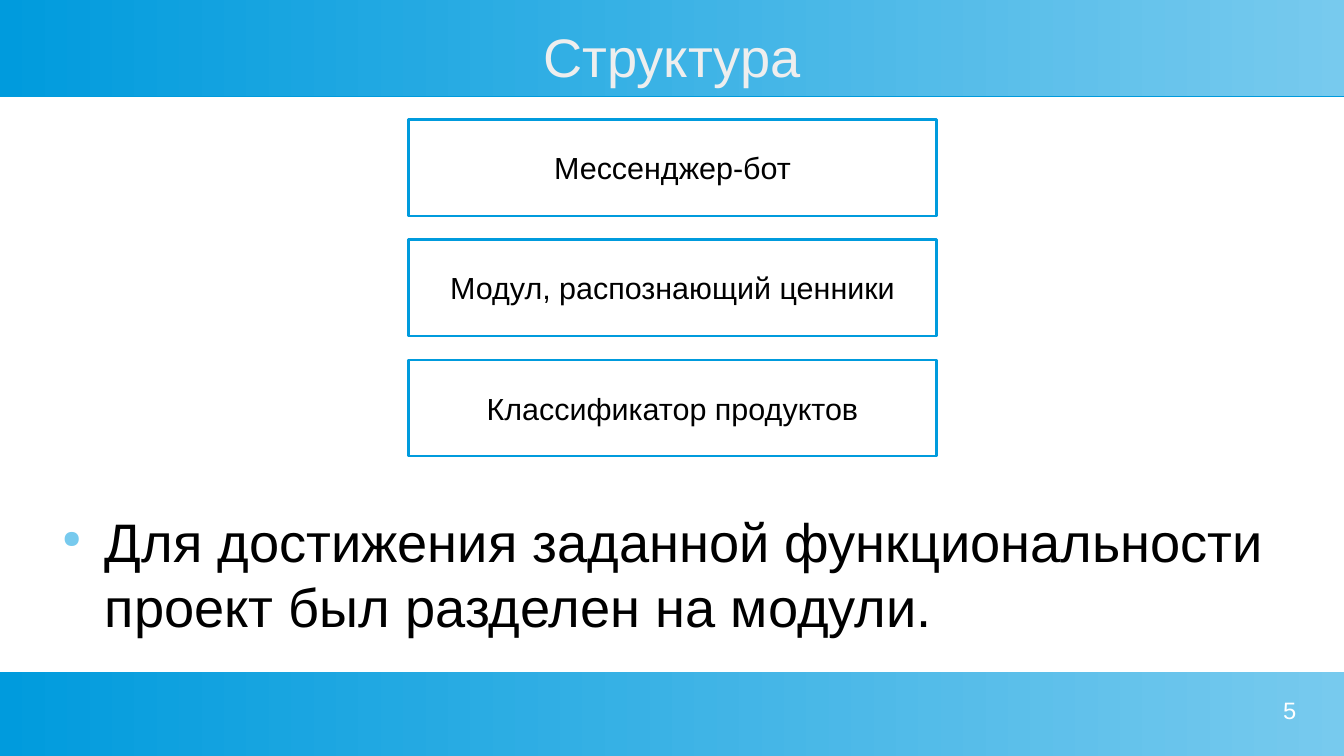
from lxml.etree import SubElement
from pptx import Presentation
from pptx.dml.color import RGBColor
from pptx.enum.shapes import MSO_CONNECTOR, MSO_SHAPE
from pptx.enum.text import MSO_ANCHOR, PP_ALIGN
from pptx.oxml.ns import qn
from pptx.util import Inches, Pt

DARK_BLUE = "009BDD"
LIGHT_BLUE = "77CAEE"


def color(value):
    return RGBColor.from_string(value)


def write(shape, text, size, text_color, align, anchor=MSO_ANCHOR.TOP, margin=0):
    frame = shape.text_frame
    frame.word_wrap = True
    frame.vertical_anchor = anchor
    frame.margin_left = frame.margin_right = Inches(margin)
    frame.margin_top = frame.margin_bottom = Inches(margin / 2)
    para = frame.paragraphs[0]
    para.text = text
    para.alignment = align
    para.font.name = "Arial"
    para.font.size = Pt(size)
    para.font.color.rgb = color(text_color)
    return para


deck = Presentation()
deck.slide_width = Inches(11.02)
deck.slide_height = Inches(6.2)
page = deck.slides.add_slide(deck.slide_layouts[6])
shapes = page.shapes

# Header and footer bands
for top, height in [(0, 0.79), (5.51, 0.69)]:
    band = shapes.add_shape(MSO_SHAPE.RECTANGLE, 0, Inches(top),
                            deck.slide_width, Inches(height))
    band.shadow.inherit = False
    band.line.fill.background()
    band.fill.gradient()
    band.fill.gradient_angle = 0
    for stop, shade in zip(band.fill.gradient_stops, [DARK_BLUE, LIGHT_BLUE]):
        stop.color.rgb = color(shade)

# Thin edge under the header
edge = shapes.add_connector(MSO_CONNECTOR.STRAIGHT, 0, Inches(0.79),
                            deck.slide_width, Inches(0.79))
edge.line.color.rgb = color(DARK_BLUE)
edge.line.width = Pt(0.9)
SubElement(edge._element.spPr, qn("a:effectLst"))

# Title
title = shapes.add_textbox(Inches(0.39), Inches(0.2), Inches(10.24), Inches(0.52))
write(title, "Структура", 32, "EEEEEE", PP_ALIGN.CENTER, MSO_ANCHOR.MIDDLE)

# Module boxes
modules = ["Мессенджер-бот", "Модул, распознающий ценники", "Классификатор продуктов"]
for row, name in enumerate(modules):
    box = shapes.add_shape(MSO_SHAPE.RECTANGLE, Inches(3.35), Inches(0.98 + row * 0.985),
                           Inches(4.33), Inches(0.79))
    box.shadow.inherit = False
    box.fill.background()
    box.line.color.rgb = color(DARK_BLUE)
    box.line.width = Pt(1.42)
    write(box, name, 18, "000000", PP_ALIGN.CENTER, MSO_ANCHOR.MIDDLE, 0.1)

# Bulleted summary
summary = shapes.add_textbox(Inches(0.39), Inches(4.17), Inches(10.24), Inches(0.98))
para = summary.text_frame.paragraphs[0]
props = para._p.get_or_add_pPr()
props.set("marL", str(Inches(0.47)))
props.set("indent", str(Inches(-0.35)))
bullet_color = SubElement(props, qn("a:buClr"))
SubElement(bullet_color, qn("a:srgbClr"), val=LIGHT_BLUE)
SubElement(props, qn("a:buSzPct"), val="45000")
SubElement(props, qn("a:buChar"), char="●")
write(summary, "Для достижения заданной функциональности проект был разделен на модули.",
      32, "000000", PP_ALIGN.LEFT)

# Page number
number = shapes.add_textbox(Inches(8.07), Inches(5.71), Inches(2.56), Inches(0.39))
write(number, "5", 14, "FFFFFF", PP_ALIGN.RIGHT)

deck.save("out.pptx")
